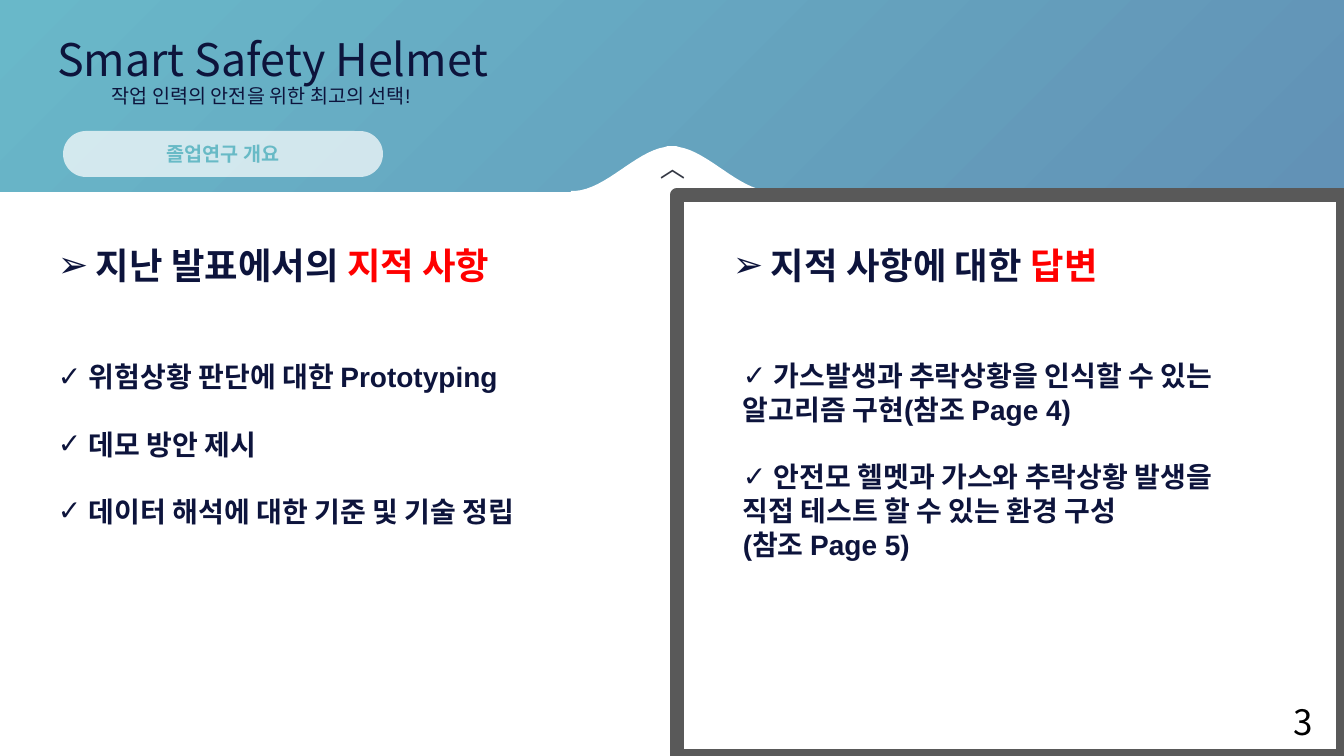
from lxml import etree
from pptx import Presentation, util as u
from pptx.dml.color import RGBColor
from pptx.enum import shapes, text
from pptx.oxml.ns import qn

SCALE = 914400 / 100.8
NAVY, RED, WHITE = "0D143C", "FF0000", "FFFFFF"
KOREAN, LATIN = "Noto Sans CJK KR", "Arial"
LEFT, CENTER, RIGHT = text.PP_ALIGN.LEFT, text.PP_ALIGN.CENTER, text.PP_ALIGN.RIGHT


def rgb(value):
    return RGBColor.from_string(value)


def write(shape, paras, size, font=LATIN, color=NAVY, **look):
    """Each paragraph: (bullet, gap before in points, [(words, colour or None)])."""
    frame = shape.text_frame
    frame.word_wrap = look.get("wrap", True)
    frame.vertical_anchor = look.get("anchor", text.MSO_ANCHOR.TOP)
    for i, (bullet, gap, spans) in enumerate(paras):
        para = frame.paragraphs[0] if i == 0 else frame.add_paragraph()
        para.alignment = look.get("align", LEFT)
        para.space_before = u.Pt(gap)
        if bullet:
            props = para._p.get_or_add_pPr()
            hang = round(look["hang"] * SCALE)
            props.set("marL", str(hang))
            props.set("indent", str(-hang))
            etree.SubElement(props, qn("a:buFont")).set("typeface", LATIN)
            etree.SubElement(props, qn("a:buChar")).set("char", bullet)
        for words, tint in spans:
            span = para.add_run()
            span.text = words
            format_values = {"size": u.Pt(size), "name": font, "bold": look.get("bold", False)}
            for key, value in format_values.items():
                setattr(span.font, key, value)
            span.font.color.rgb = rgb(tint or color)
            etree.SubElement(span._r.get_or_add_rPr(), qn("a:ea")).set("typeface", KOREAN)


deck = Presentation()
deck.slide_width, deck.slide_height = round(1344 * SCALE), round(756 * SCALE)
page = deck.slides.add_slide(deck.slide_layouts[6])

# Header band, title pill and answer frame share one loop; the hump goes between
parts = {}
for name, kind, place in [
    ("band", shapes.MSO_SHAPE.RECTANGLE, (0, 0, 1344, 192)),
    ("hump", None, None),
    ("pill", shapes.MSO_SHAPE.ROUNDED_RECTANGLE, (63, 131, 320, 46)),
    ("frame", shapes.MSO_SHAPE.RECTANGLE, (677, 195, 666, 561)),
]:
    if kind:
        shape = page.shapes.add_shape(kind, *[round(v * SCALE) for v in place])
    else:
        # White hump: the left half as cubic curves, mirrored about its middle
        middle = 672
        half = [(571, 334), (571, 191)]
        curves = [
            [(575, 191), (606, 189), (635, 152), (665, 147)],
            [(663, 289), (654, 292), (645, 298), (636, 310)],
            [(633, 303), (613, 316), (592, 334), (571, 334)],
        ]
        sampled = []
        for curve in curves:
            dots = []
            for step in range(17):
                t = step / 16
                weights = ((1 - t) ** 3, 3 * t * (1 - t) ** 2, 3 * t * t * (1 - t), t ** 3)
                dots.append(tuple(sum(w * p[axis] for w, p in zip(weights, curve)) for axis in (0, 1)))
            sampled.append(dots)
        top = half + sampled[0] + [(668, 146), (middle, 146)]
        bottom = [(middle, 288)] + sampled[1] + [(636, 301)] + sampled[2]
        mirror = [(2 * middle - x, y) for x, y in reversed(bottom + top)]
        outline = [(round(x * SCALE), round(y * SCALE)) for x, y in top + mirror + bottom]
        builder = page.shapes.build_freeform(*outline[0], scale=1.0)
        builder.add_line_segments(outline[1:], close=True)
        shape = builder.convert_to_shape()
    shape.shadow.inherit = False
    shape.fill.solid()
    shape.fill.fore_color.rgb = rgb(WHITE)
    shape.line.fill.background()
    parts[name] = shape

fill = parts["band"].fill
fill.gradient()
fill.gradient_angle = 315
for stop, color in zip(fill.gradient_stops, ("69B8C9", "6292B6")):
    stop.color.rgb = rgb(color)

pill = parts["pill"]
pill.adjustments[0] = 0.5
tint = pill.fill._xPr.find(qn("a:solidFill"))[0]
etree.SubElement(tint, qn("a:alpha")).set("val", "71000")
write(pill, [(None, 0, [("졸업연구 개요", None)])], 14, KOREAN, "68BAC6",
      bold=True, align=CENTER, anchor=text.MSO_ANCHOR.MIDDLE)

frame = parts["frame"]
frame.fill.background()
frame.line.color.rgb = rgb("595959")
frame.line.width = u.Pt(10)
etree.SubElement(frame.line._ln, qn("a:round"))

# Text boxes: place, paragraphs, look
heading = dict(size=26, bold=True, hang=38, wrap=False)
points = dict(size=20, bold=True, hang=31, wrap=False)
boxes = [
    ((35, 27, 476, 65), [(None, 0, [("Smart Safety Helmet", None)])],
     dict(size=32, font=KOREAN, align=CENTER)),
    ((102, 79, 377, 34), [(None, 0, [("작업 인력의 안전을 위한 최고의 선택!", None)])], dict(size=14)),
    ((655, 153, 34, 40), [(None, 0, [("〉", None)])],
     dict(size=18, font=KOREAN, color="343844", wrap=False, turn=270)),
    ((48, 238, 502, 54), [("➢", 0, [("지난 발표에서의 ", None), ("지적 사항", RED)])], heading),
    ((723, 238, 428, 54), [("➢", 0, [("지적 사항에 대한 ", None), ("답변", RED)])], heading),
    ((48, 355, 535, 179), [
        ("✓", 0, [("위험상황 판단에 대한 Prototyping", None)]),
        ("✓", 24, [("데모 방안 제시", None)]),
        ("✓", 24, [("데이터 해석에 대한 기준 및 기술 정립", None)]),
    ], points),
    ((733, 354, 554, 248), [
        ("✓", 0, [("가스발생과 추락상황을 인식할 수 있는", None)]),
        (None, 0, [("알고리즘 구현(참조 Page 4)", None)]),
        ("✓", 24, [("안전모 헬멧과 가스와 추락상황 발생을", None)]),
        (None, 0, [("직접 테스트 할 수 있는 환경 구성", None)]),
        (None, 0, [("(참조 Page 5)", None)]),
    ], points),
    ((1021, 702, 302, 40), [(None, 0, [("3", None)])],
     dict(size=25, font=KOREAN, color="000000", align=RIGHT, anchor=text.MSO_ANCHOR.MIDDLE)),
]
for place, paras, look in boxes:
    box = page.shapes.add_textbox(*[round(v * SCALE) for v in place])
    box.rotation = look.get("turn", 0)
    write(box, paras, **look)

deck.save("out.pptx")
